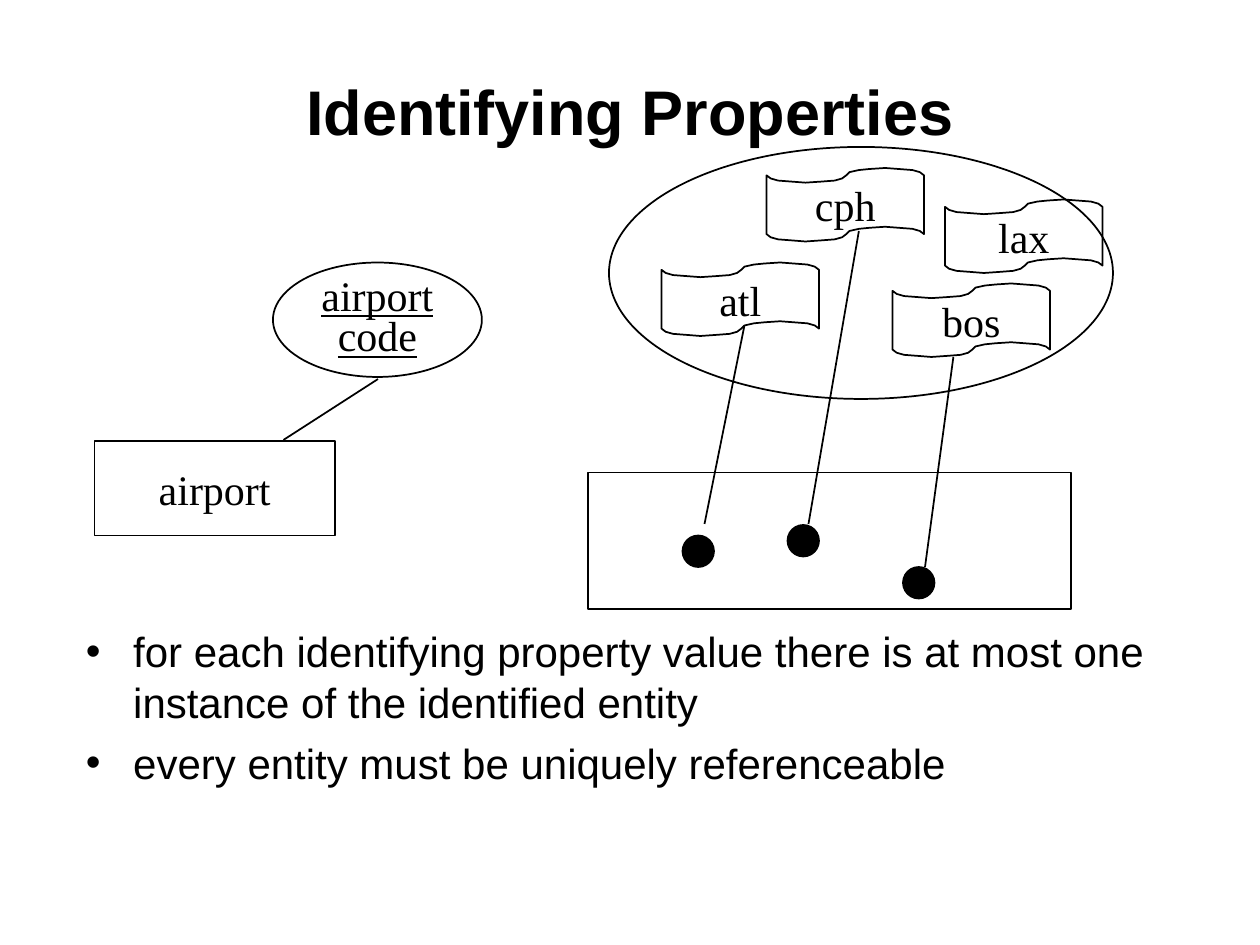
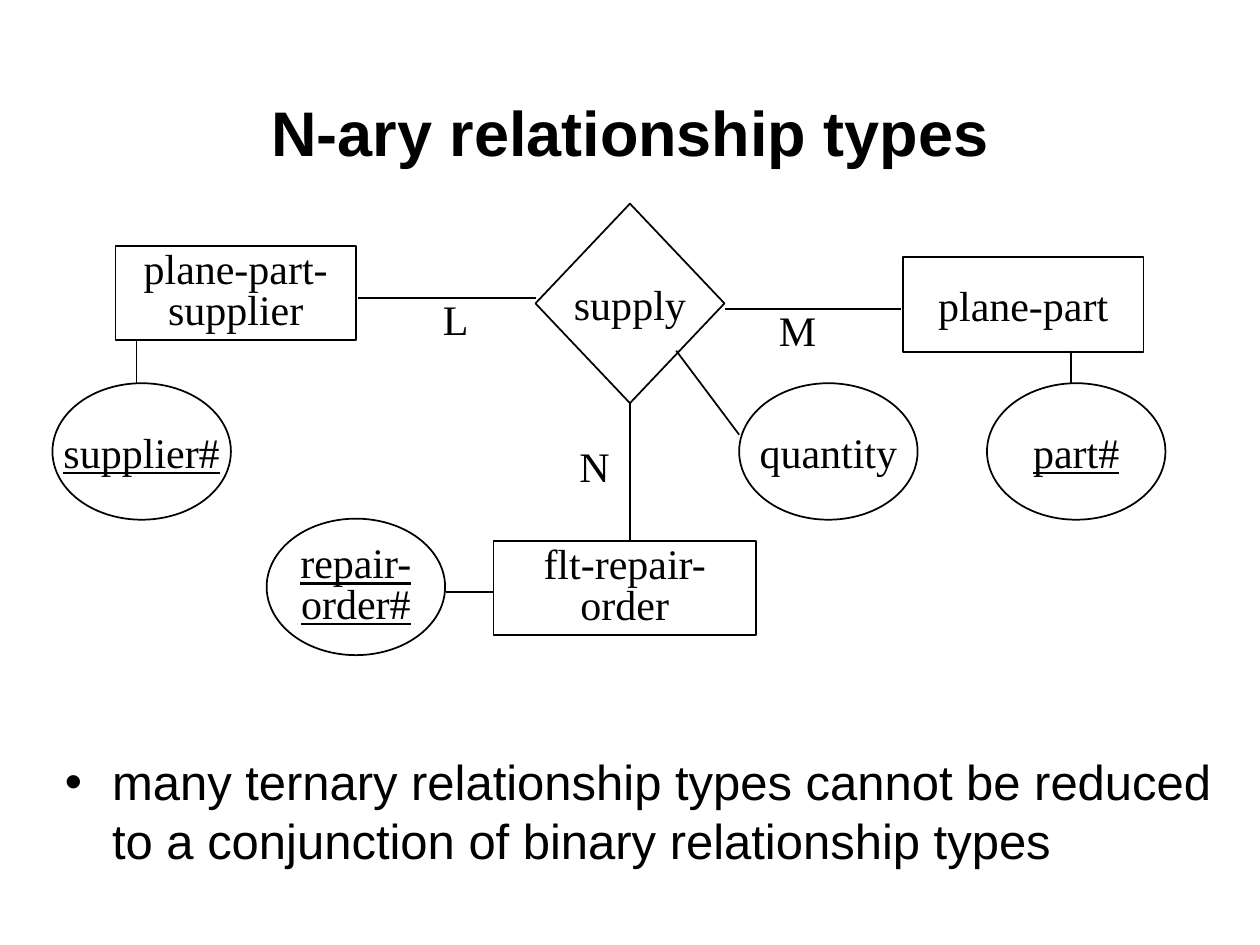
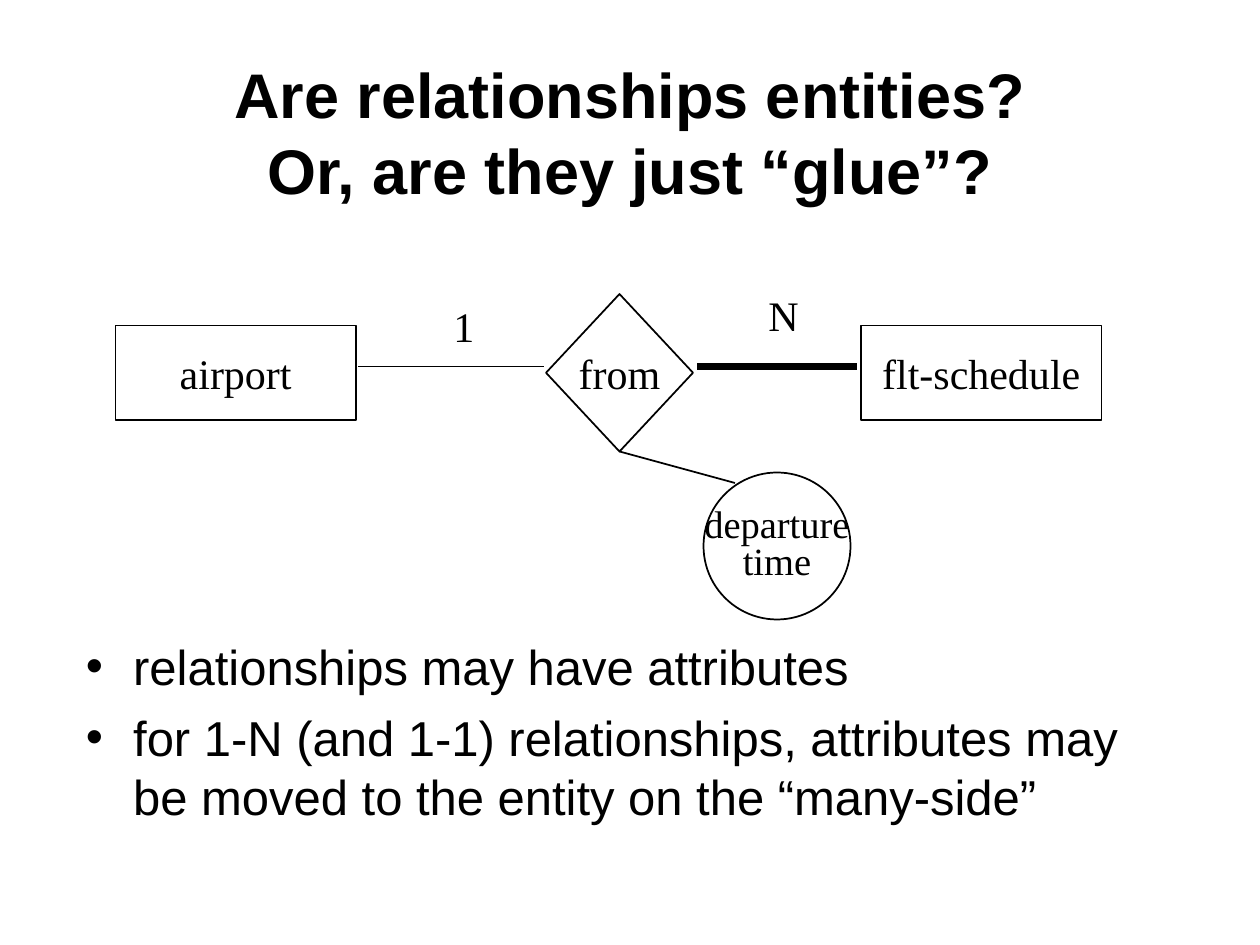
from dataclasses import dataclass

from lxml import etree
from pptx import Presentation
from pptx.dml.color import RGBColor
from pptx.enum.shapes import MSO_CONNECTOR, MSO_SHAPE
from pptx.enum.text import MSO_ANCHOR, MSO_AUTO_SIZE, PP_ALIGN
from pptx.oxml.ns import qn
from pptx.util import Emu, Pt

RECT, ELLIPSE, DIAMOND = MSO_SHAPE.RECTANGLE, MSO_SHAPE.OVAL, MSO_SHAPE.DIAMOND
STRAIGHT = MSO_CONNECTOR.STRAIGHT
CENTER, MIDDLE = PP_ALIGN.CENTER, MSO_ANCHOR.MIDDLE
NO_FIT, GROW = MSO_AUTO_SIZE.NONE, MSO_AUTO_SIZE.SHAPE_TO_FIT_TEXT
BOTTOM = 2

PX = 7620
COLORS = {"ink": "000000", "paper": "FFFFFF"}
HEADING_FONT, DIAGRAM_FONT = "Arial", "Times New Roman"
BULLET_INDENT = 45

FLAG_TOP = [(0, 7), (4, 10), (11, 12), (24, 13), (37, 14), (52, 13), (65, 12), (72, 10), (76, 7),
            (78, 5), (79, 4), (88, 2), (98, 1), (113, 0), (126, 1), (139, 2), (146, 4), (150, 7)]
FLAG_DROP = 56
FLAG_OUTLINE = FLAG_TOP + [(x, y + FLAG_DROP) for x, y in reversed(FLAG_TOP)]


@dataclass(frozen=True)
class Node:
    kind: MSO_SHAPE
    x: int
    y: int
    w: int
    h: int
    text: str = ""
    underline: bool = False
    size: int = 24
    solid: bool = False


@dataclass(frozen=True)
class Link:
    x1: int
    y1: int
    x2: int
    y2: int
    weight: int = 1
    below: str = ""


@dataclass(frozen=True)
class Flag:
    x: int
    y: int
    text: str


@dataclass(frozen=True)
class Label:
    x: int
    y: int
    w: int
    text: str


@dataclass(frozen=True)
class Bullets:
    x: int
    y: int
    w: int
    h: int
    size: int
    space: int
    lines: tuple[str, ...]


@dataclass(frozen=True)
class Page:
    title: str
    title_h: int
    bullets: Bullets
    nodes: tuple[Node, ...]
    links: tuple[Link, ...]
    labels: tuple[Label, ...] = ()
    flags: tuple[Flag, ...] = ()


def entity(x: int, y: int, text: str, w: int = 229) -> Node:
    return Node(RECT, x, y, w, 90, text)


def attribute(x: int, y: int, text: str, key: bool = True) -> Node:
    return Node(ELLIPSE, x, y, 170, 130, text, key)


def instance(x: int, y: int) -> Node:
    return Node(ELLIPSE, x, y, 30, 30, solid=True)


PAGES = (
    Page(
        "Identifying Properties", 110,
        Bullets(70, 590, 1040, 270, 24, 6, (
            "for each identifying property value there is at most one instance of the identified entity",
            "every entity must be uniquely referenceable",
        )),
        nodes=(
            entity(90, 420, "airport"),
            Node(ELLIPSE, 260, 250, 199, 109, "airport\ncode", True),
            instance(750, 500), instance(860, 540), instance(650, 510),
            Node(RECT, 560, 450, 460, 130),
            Node(ELLIPSE, 580, 140, 480, 240),
        ),
        links=(
            Link(360, 361, 270, 419),
            Link(671, 499, 709, 310),
            Link(770, 499, 818, 220),
            Link(881, 540, 908, 340),
        ),
        flags=(Flag(630, 250, "atl"), Flag(730, 160, "cph"),
               Flag(850, 270, "bos"), Flag(900, 190, "lax")),
    ),
    Page(
        "N-ary relationship types", 150,
        Bullets(50, 710, 1130, 150, 28, 7, (
            "many ternary relationship types cannot be reduced to a conjunction of binary relationship types",
        )),
        nodes=(
            entity(110, 234, "plane-part-\nsupplier"),
            entity(860, 245, "plane-part"),
            entity(470, 515, "flt-repair-\norder", 250),
            Node(DIAMOND, 510, 194, 180, 190, "supply"),
            attribute(704, 365, "quantity", False),
            attribute(50, 365, "supplier#"),
            attribute(254, 494, "repair-\norder#"),
            attribute(940, 365, "part#"),
        ),
        links=(
            Link(341, 284, 510, 284),
            Link(690, 294, 858, 294),
            Link(600, 384, 600, 515, below="supply"),
            Link(704, 414, 644, 334),
            Link(1020, 334, 1020, 365),
            Link(130, 324, 130, 365),
            Link(425, 564, 470, 564),
        ),
        labels=(Label(410, 274, 60, "L"), Label(540, 414, 60, "N"), Label(730, 284, 60, "M")),
    ),
    Page(
        "Are relationships entities?\vOr, are they just “glue”?", 150,
        Bullets(70, 600, 1060, 240, 28, 7, (
            "relationships may have attributes",
            "for 1-N (and 1-1) relationships, attributes may be moved to the entity on the “many-side”",
        )),
        nodes=(
            entity(110, 310, "airport"),
            entity(820, 310, "flt-schedule"),
            Node(DIAMOND, 520, 280, 140, 150, "from"),
            Node(ELLIPSE, 670, 450, 140, 140, "departure\ntime", size=22),
        ),
        links=(
            Link(341, 349, 518, 349),
            Link(664, 349, 816, 349, weight=4),
            Link(590, 430, 700, 460, below="from"),
        ),
        labels=(Label(420, 280, 40, "1"), Label(720, 270, 40, "N")),
    ),
)


def px(*lengths: int) -> list[Emu]:
    return [Emu(n * PX) for n in lengths]


def color(name: str) -> RGBColor:
    return RGBColor.from_string(COLORS[name])


def format_runs(tf, font: str, size: int, bold: bool = False, underline: bool = False) -> None:
    for p in tf.paragraphs:
        for r in p.runs:
            r.font.name = font
            r.font.size = Pt(size)
            r.font.bold = bold
            r.font.underline = underline
            r.font.color.rgb = color("ink")


def style_line(line, weight: int = 1) -> None:
    line.color.rgb = color("ink")
    line.width = Pt(weight)


def style_outline(sp, text: str, size: int = 24, underline: bool = False) -> None:
    sp.shadow.inherit = False
    sp.fill.background()
    style_line(sp.line)
    if not text:
        return
    tf = sp.text_frame
    tf.text = text
    tf.word_wrap = False
    tf.vertical_anchor = MIDDLE
    for p in tf.paragraphs:
        p.alignment = CENTER
        if len(tf.paragraphs) > 1:
            p.line_spacing = 0.8
    format_runs(tf, DIAGRAM_FONT, size, underline=underline)


def draw_title(s, text: str, height: int) -> None:
    sp = s.shapes.title
    sp.left, sp.top, sp.width, sp.height = px(90, 50, 1020, height)
    tf = sp.text_frame
    tf.text = text
    tf.word_wrap = True
    tf.auto_size = NO_FIT
    tf.vertical_anchor = MIDDLE
    tf.paragraphs[0].alignment = CENTER
    format_runs(tf, HEADING_FONT, 36, bold=True)


def add_bullet(p) -> None:
    pPr = p._p.get_or_add_pPr()
    pPr.set("marL", str(BULLET_INDENT * PX))
    pPr.set("indent", str(-BULLET_INDENT * PX))
    clr = etree.SubElement(pPr, qn("a:buClr"))
    etree.SubElement(clr, qn("a:srgbClr")).set("val", COLORS["ink"])
    etree.SubElement(pPr, qn("a:buFont")).set("typeface", HEADING_FONT)
    etree.SubElement(pPr, qn("a:buChar")).set("char", "•")


def draw_bullets(s, b: Bullets) -> None:
    tf = s.shapes.add_textbox(*px(b.x, b.y, b.w, b.h)).text_frame
    tf.word_wrap = True
    tf.text = "\n".join(b.lines)
    for p in tf.paragraphs:
        p.space_before = Pt(b.space)
        add_bullet(p)
    format_runs(tf, HEADING_FONT, b.size)


def draw_node(s, n: Node):
    sp = s.shapes.add_shape(n.kind, *px(n.x, n.y, n.w, n.h))
    style_outline(sp, n.text, n.size, n.underline)
    if n.solid:
        sp.fill.solid()
        sp.fill.fore_color.rgb = color("ink")
    return sp


def draw_flag(s, f: Flag) -> None:
    builder = s.shapes.build_freeform(*FLAG_OUTLINE[0], scale=PX)
    builder.add_line_segments(FLAG_OUTLINE[1:], close=True)
    style_outline(builder.convert_to_shape(*px(f.x, f.y)), f.text)


def draw_label(s, label: Label) -> None:
    tf = s.shapes.add_textbox(*px(label.x, label.y, label.w, 60)).text_frame
    tf.word_wrap = True
    tf.auto_size = GROW
    tf.text = label.text
    tf.paragraphs[0].space_before = Pt(15)
    format_runs(tf, DIAGRAM_FONT, 24)


def draw_link(s, link: Link, shapes: dict) -> None:
    cxn = s.shapes.add_connector(STRAIGHT, *px(link.x1, link.y1, link.x2, link.y2))
    style_line(cxn.line, link.weight)
    etree.SubElement(cxn._element.spPr, qn("a:effectLst"))
    if link.below:
        cxn.begin_connect(shapes[link.below], BOTTOM)


def draw_page(prs, page: Page) -> None:
    s = prs.slides.add_slide(prs.slide_layouts[5])
    s.background.fill.solid()
    s.background.fill.fore_color.rgb = color("paper")
    draw_title(s, page.title, page.title_h)
    draw_bullets(s, page.bullets)
    shapes = {n.text: draw_node(s, n) for n in page.nodes}
    for flag in page.flags:
        draw_flag(s, flag)
    for link in page.links:
        draw_link(s, link, shapes)
    for label in page.labels:
        draw_label(s, label)


def main() -> None:
    prs = Presentation()
    prs.slide_width, prs.slide_height = px(1200, 900)
    for page in PAGES:
        draw_page(prs, page)
    prs.save("out.pptx")


if __name__ == "__main__":
    main()
